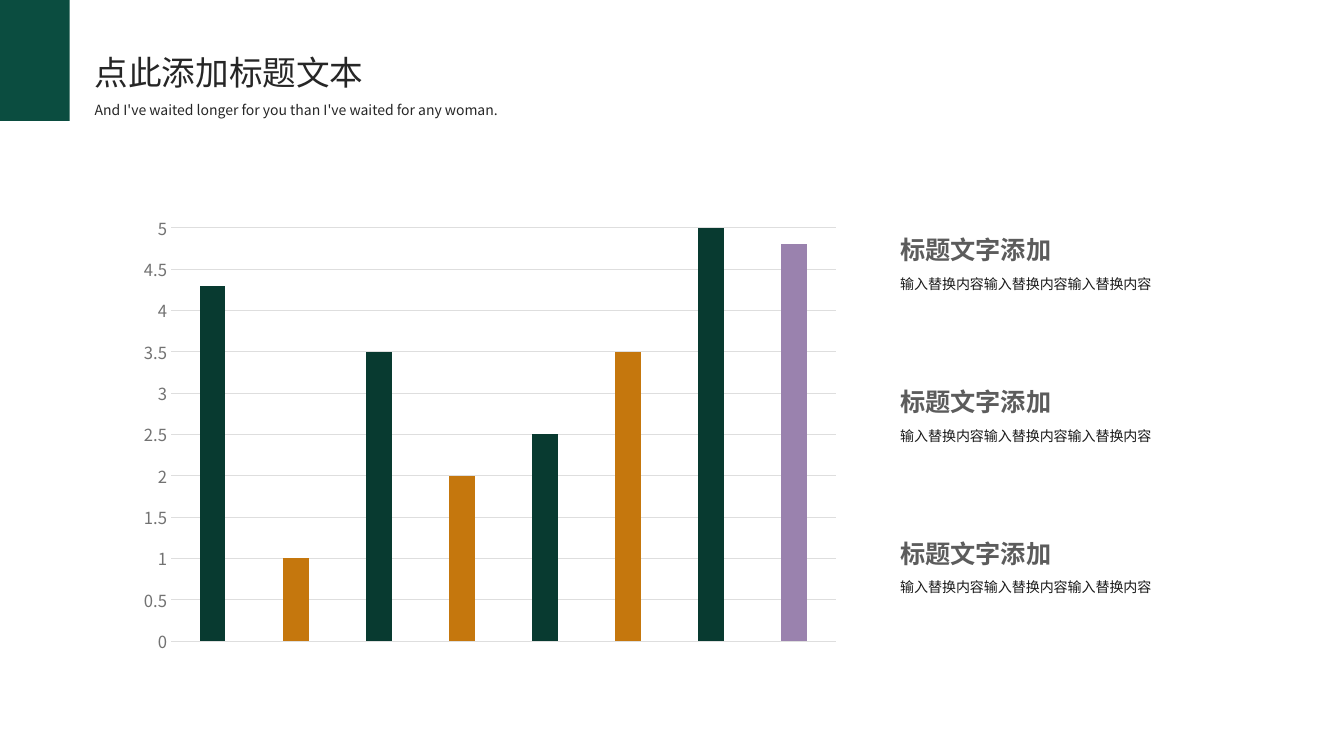
from dataclasses import dataclass

from lxml import etree
from pptx import Presentation
from pptx import util as u
from pptx.chart.data import CategoryChartData
from pptx.dml.color import RGBColor
from pptx.enum import chart as charts, shapes, text
from pptx.oxml import parse_xml
from pptx.oxml.ns import nsdecls, qn
from pptx.shapes.shapetree import _BaseShapes
from pptx.slide import Slide


@dataclass(frozen=True)
class Theme:
    """Colours, font and type sizes of the slide."""
    font: str = "Noto Sans CJK SC"
    block: str = "0B4D40"
    ink: str = "262626"
    heading: str = "5C5C5C"
    body: str = "1A1A1A"
    axis: str = "727272"
    grid: str = "DEDEDE"
    green: str = "083A30"
    orange: str = "C5770D"
    purple: str = "9A82AE"
    title_size: float = 24
    heading_size: float = 18
    body_size: float = 10
    axis_size: float = 11.9


@dataclass(frozen=True)
class Caption:
    """A line of text with its place and format."""
    wording: str
    box: tuple[float, float, float, float]
    size: float
    color: str
    bold: bool = False
    spacing: float = 1.0
    align: text.PP_ALIGN = text.PP_ALIGN.LEFT


THEME = Theme()
SCORES = (4.3, 1, 3.5, 2, 2.5, 3.5, 5, 4.8)
SCORE_COLORS = (THEME.green, THEME.orange) * 3 + (THEME.green, THEME.purple)
ENTRY_TOP, ENTRY_PITCH, ENTRY_COUNT = 2.28, 1.505, 3
PLOT_AREA = {"x": 0.057, "y": 0.047, "w": 0.923, "h": 0.911}


def apply(target: object, formats: dict[str, object]) -> None:
    """Set each named attribute of the target."""
    for attribute, value in formats.items():
        setattr(target, attribute, value)


def inches(box: tuple[float, ...]) -> list[int]:
    """Convert a box to slide units."""
    return [u.Inches(length) for length in box]


def add_caption(tree: _BaseShapes, caption: Caption) -> None:
    """Add one line of text."""
    frame = tree.add_textbox(*inches(caption.box)).text_frame
    apply(frame, {"word_wrap": True, "auto_size": text.MSO_AUTO_SIZE.SHAPE_TO_FIT_TEXT})
    line = frame.paragraphs[0]
    apply(line, {"alignment": caption.align, "line_spacing": caption.spacing})
    run = line.add_run()
    run.text = caption.wording
    apply(run.font, {"name": THEME.font, "size": u.Pt(caption.size), "bold": caption.bold})
    run.font.color.rgb = RGBColor.from_string(caption.color)
    etree.SubElement(run.font._element, qn("a:ea"), typeface=THEME.font)


def add_header(slide: Slide) -> None:
    """Add the corner block, the title and the subtitle."""
    add_caption(slide.shapes, Caption(
        "点此添加标题文本", (0.84, 0.39, 3.25, 0.54), THEME.title_size, THEME.ink,
        spacing=1.2, align=text.PP_ALIGN.JUSTIFY))
    corner = slide.shapes.add_shape(
        shapes.MSO_SHAPE.RECTANGLE, *inches((0, -0.02, 0.69, 1.22)))
    corner.shadow.inherit = False
    corner.fill.solid()
    corner.fill.fore_color.rgb = RGBColor.from_string(THEME.block)
    corner.line.fill.background()
    add_caption(slide.shapes, Caption(
        "And I've waited longer for you than I've waited for any woman.",
        (0.84, 0.89, 4.66, 0.32), THEME.body_size, THEME.ink,
        spacing=1.4, align=text.PP_ALIGN.JUSTIFY))


def add_scores(slide: Slide) -> None:
    """Add the column chart."""
    data = CategoryChartData()
    data.categories = [str(number) for number in range(1, len(SCORES) + 1)]
    data.add_series("Series 1", SCORES)
    chart = slide.shapes.add_chart(
        charts.XL_CHART_TYPE.COLUMN_CLUSTERED, *inches((1.29, 2.05, 7.14, 4.5)), data).chart
    apply(chart, {"has_legend": False, "has_title": False})
    apply(chart.font, {"name": THEME.font, "size": u.Pt(THEME.body_size)})
    chart.font.color.rgb = RGBColor.from_string(THEME.ink)
    chart.category_axis.visible = False

    axis = chart.value_axis
    apply(axis, {"minimum_scale": 0, "maximum_scale": 5, "major_unit": 0.5,
                 "has_major_gridlines": True,
                 "major_tick_mark": charts.XL_TICK_MARK.NONE})
    axis.format.line.fill.background()
    grid = axis.major_gridlines.format.line
    grid.width = u.Pt(0.75)
    grid.color.rgb = RGBColor.from_string(THEME.grid)
    labels = axis.tick_labels
    apply(labels, {"number_format": "General", "number_format_is_linked": False})
    apply(labels.font, {"name": THEME.font, "size": u.Pt(THEME.axis_size)})
    labels.font.color.rgb = RGBColor.from_string(THEME.axis)

    plot = chart.plots[0]
    apply(plot, {"gap_width": 224, "overlap": -100, "vary_by_categories": False})
    series = plot.series[0]
    series.format.fill.solid()
    series.format.fill.fore_color.rgb = RGBColor.from_string(THEME.green)
    for index, color in enumerate(SCORE_COLORS):
        if color != THEME.green:
            fill = series.points[index].format.fill
            fill.solid()
            fill.fore_color.rgb = RGBColor.from_string(color)

    modes = '<c:layoutTarget val="inner"/><c:xMode val="edge"/><c:yMode val="edge"/>'
    sizes = "".join(f'<c:{side} val="{share}"/>' for side, share in PLOT_AREA.items())
    layout = parse_xml(
        f'<c:layout {nsdecls("c")}><c:manualLayout>{modes}{sizes}</c:manualLayout></c:layout>')
    area = chart._chartSpace.chart.plotArea
    for automatic in area.findall(qn("c:layout")):
        area.remove(automatic)
    area.insert(0, layout)


def add_entry(slide: Slide, top: float) -> None:
    """Add a grouped heading and its description."""
    entry = slide.shapes.add_group_shape().shapes
    add_caption(entry, Caption(
        "标题文字添加", (8.83, top, 2.33, 0.4), THEME.heading_size, THEME.heading, bold=True))
    add_caption(entry, Caption(
        "输入替换内容" * 3, (8.83, top + 0.37, 3.08, 0.29),
        THEME.body_size, THEME.body, spacing=1.2))


def main() -> None:
    """Build and save the slide."""
    deck = Presentation()
    apply(deck, {"slide_width": u.Inches(13.33), "slide_height": u.Inches(7.5)})
    slide = deck.slides.add_slide(deck.slide_layouts[6])
    add_scores(slide)
    for row in range(ENTRY_COUNT):
        add_entry(slide, ENTRY_TOP + row * ENTRY_PITCH)
    add_header(slide)
    deck.save("out.pptx")


if __name__ == "__main__":
    main()
